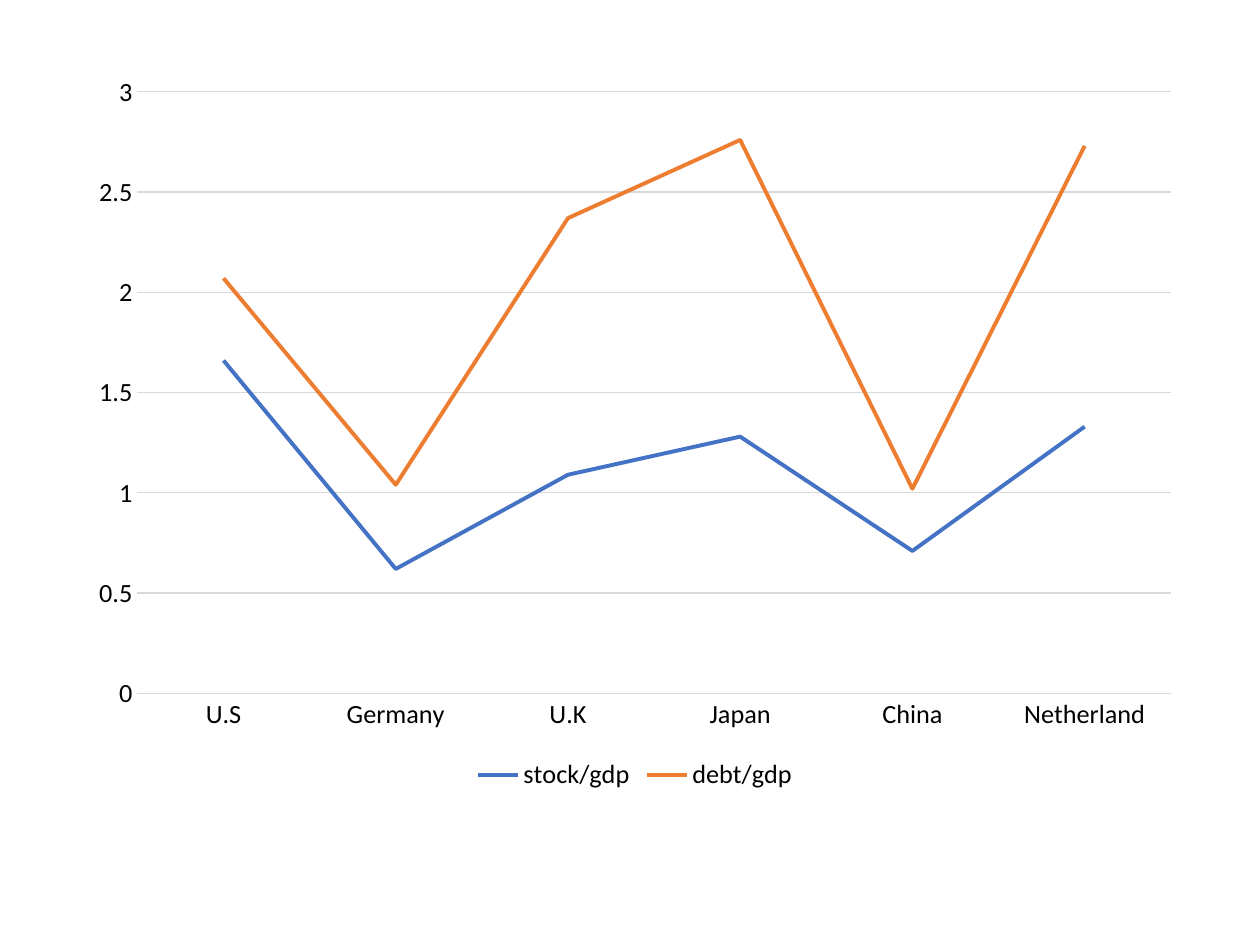
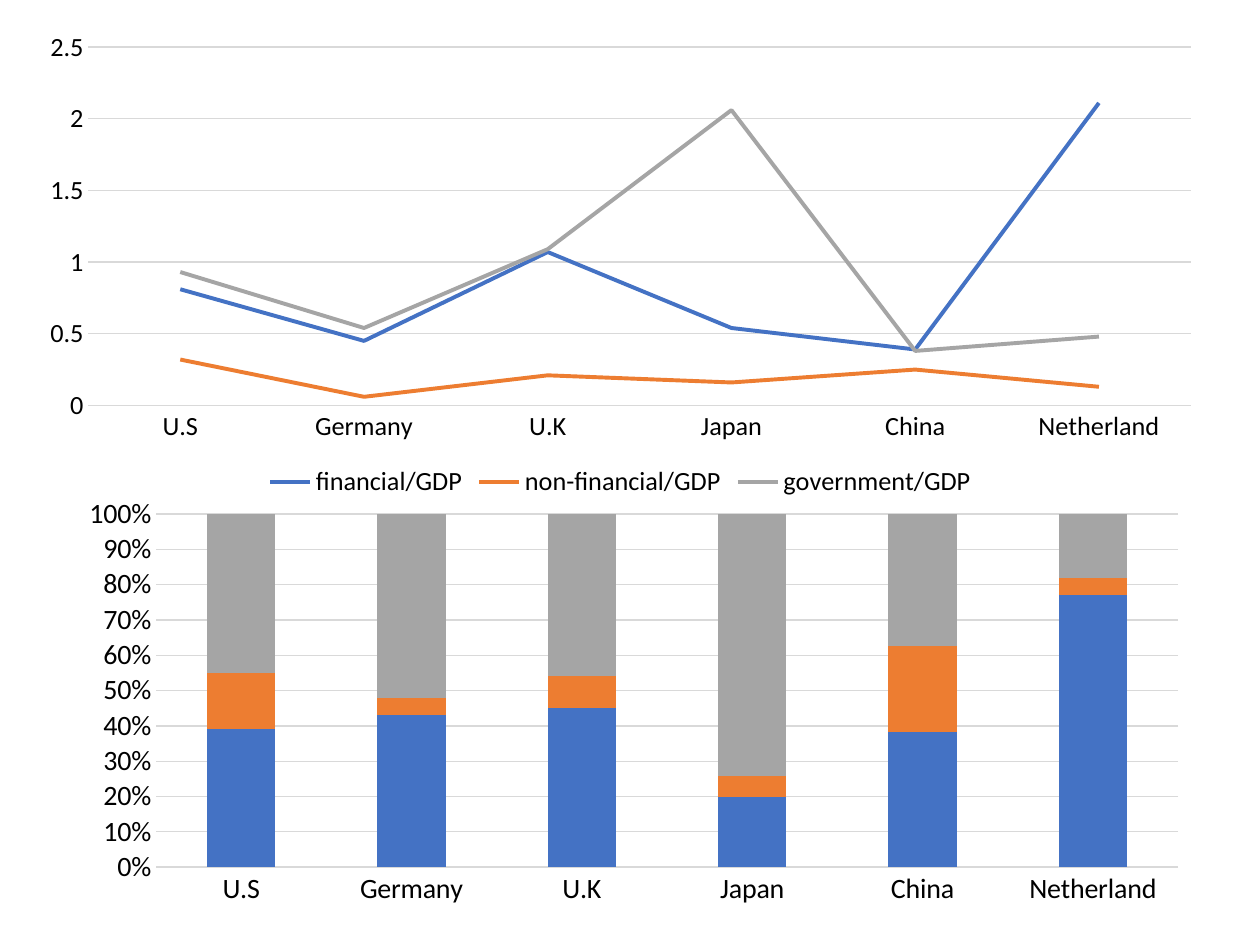
from dataclasses import dataclass

from pptx import Presentation
from pptx import util as u
from pptx.chart.data import CategoryChartData
from pptx.dml.color import RGBColor
from pptx.enum import chart as ch

WIDTH, HEIGHT = 10, 7.5
FONT, INK, GRID = "Calibri", "000000", "D9D9D9"
PALETTE = ("4472C4", "ED7D31", "A5A5A5")
COUNTRIES = ("U.S", "Germany", "U.K", "Japan", "China", "Netherland")


@dataclass(frozen=True)
class Panel:
    """A chart; its area is left, top, width, height as shares of the slide."""
    kind: ch.XL_CHART_TYPE
    area: tuple[float, float, float, float]
    series: dict[str, tuple[float, ...]]
    top_value: float
    step: float
    size: int = 15
    number_format: str = "General"
    legend: bool = True


LINE, STACKED = ch.XL_CHART_TYPE.LINE, ch.XL_CHART_TYPE.COLUMN_STACKED_100

# One list of panels for each slide
SLIDES = [
    [Panel(LINE, (0.061, 0.065, 0.886, 0.777), {
        "stock/gdp": (1.66, 0.62, 1.09, 1.28, 0.71, 1.33),
        "debt/gdp": (2.07, 1.04, 2.37, 2.76, 1.02, 2.73),
    }, top_value=3, step=0.5)],
    [Panel(LINE, (0.021, 0.023, 0.943, 0.509), {
        "financial/GDP": (0.81, 0.45, 1.07, 0.54, 0.39, 2.11),
        "non-financial/GDP": (0.32, 0.06, 0.21, 0.16, 0.25, 0.13),
        "government/GDP": (0.93, 0.54, 1.09, 2.06, 0.38, 0.48),
    }, top_value=2.5, step=0.5),
     Panel(STACKED, (0.053, 0.517, 0.9, 0.451), {
         "Series 1": (39, 43, 45, 20, 38, 77),
         "Series 2": (16, 5, 9, 6, 24, 5),
         "Series 3": (45, 52, 46, 75, 37, 18),
     }, top_value=1, step=0.1, size=16, number_format="0%", legend=False)],
]


def colour(value: str) -> RGBColor:
    return RGBColor.from_string(value)


def assign(target, **values) -> None:
    for name, value in values.items():
        setattr(target, name, value)


def style_font(font, size: int) -> None:
    assign(font, name=FONT, size=u.Pt(size), bold=False)
    font.color.rgb = colour(INK)


def style_line(line, value: str, width: float) -> None:
    line.color.rgb = colour(value)
    line.width = u.Pt(width)


def style_axes(chart, panel: Panel) -> None:
    for axis in (chart.category_axis, chart.value_axis):
        assign(axis, major_tick_mark=ch.XL_TICK_MARK.NONE,
               minor_tick_mark=ch.XL_TICK_MARK.NONE, has_title=False)
        style_font(axis.tick_labels.font, panel.size)
    style_line(chart.category_axis.format.line, GRID, 0.75)
    values = chart.value_axis
    assign(values, minimum_scale=0, maximum_scale=panel.top_value,
           major_unit=panel.step, has_major_gridlines=True)
    assign(values.tick_labels, number_format=panel.number_format,
           number_format_is_linked=False)
    values.format.line.fill.background()
    style_line(values.major_gridlines.format.line, GRID, 0.75)


def style_series(chart, panel: Panel) -> None:
    plot = chart.plots[0]
    plot.vary_by_categories = False
    if panel.kind == STACKED:
        assign(plot, gap_width=150, overlap=100)
    for series, value in zip(plot.series, PALETTE):
        if panel.kind == LINE:
            series.smooth = False
            series.marker.style = ch.XL_MARKER_STYLE.NONE
            style_line(series.format.line, value, 2.25)
        else:
            series.format.fill.solid()
            series.format.fill.fore_color.rgb = colour(value)


def add_panel(page, panel: Panel) -> None:
    data = CategoryChartData()
    data.categories = COUNTRIES
    for name, values in panel.series.items():
        data.add_series(name, values)
    extents = (WIDTH, HEIGHT, WIDTH, HEIGHT)
    box = [u.Inches(share * extent) for share, extent in zip(panel.area, extents)]
    chart = page.shapes.add_chart(panel.kind, *box, data).chart
    assign(chart, has_title=False, has_legend=panel.legend)
    style_font(chart.font, 10)
    if panel.legend:
        assign(chart.legend, position=ch.XL_LEGEND_POSITION.BOTTOM,
               include_in_layout=False)
        style_font(chart.legend.font, panel.size)
    style_axes(chart, panel)
    style_series(chart, panel)


deck = Presentation()
assign(deck, slide_width=u.Inches(WIDTH), slide_height=u.Inches(HEIGHT))
for panels in SLIDES:
    page = deck.slides.add_slide(deck.slide_layouts[6])
    for panel in panels:
        add_panel(page, panel)
deck.save("out.pptx")
